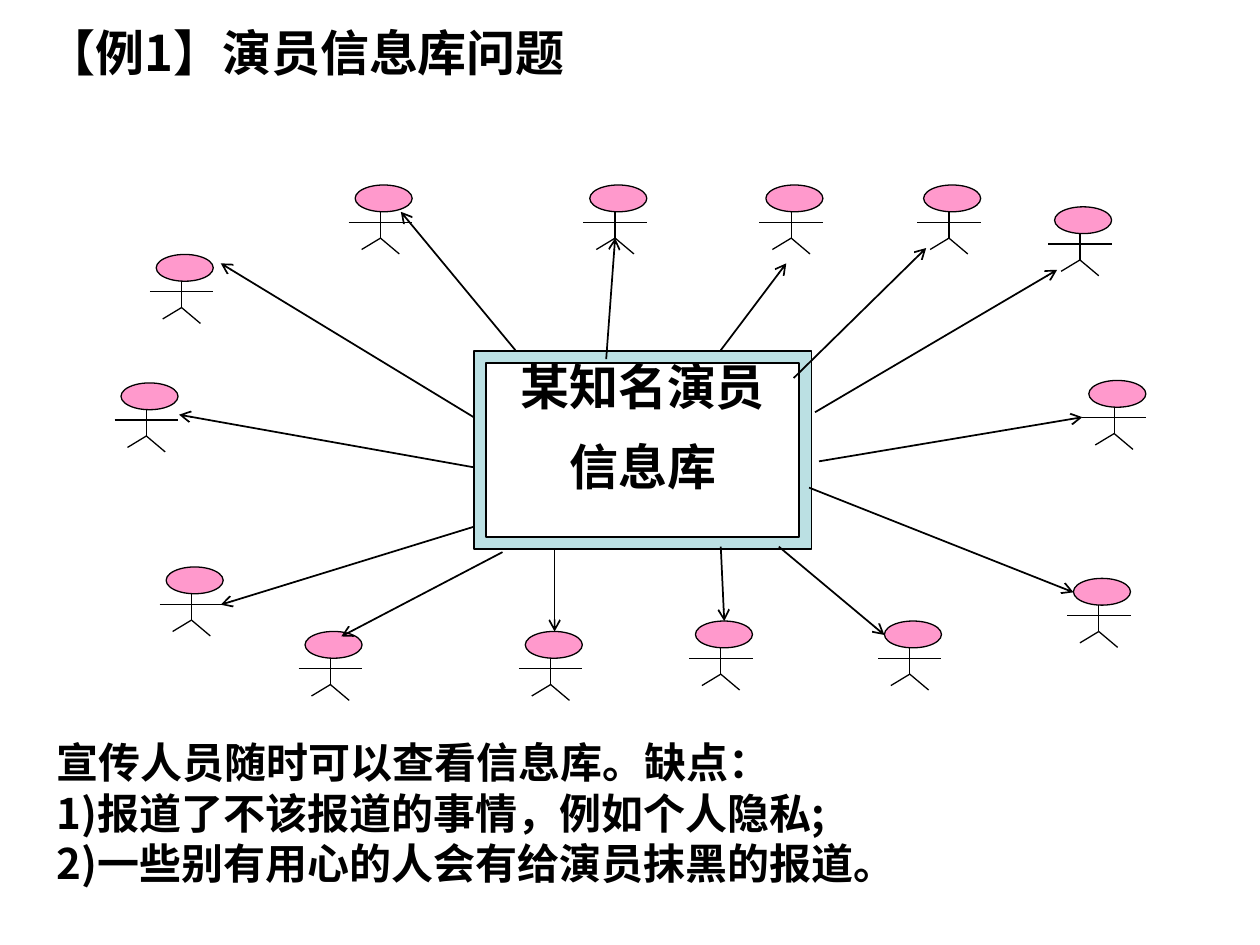
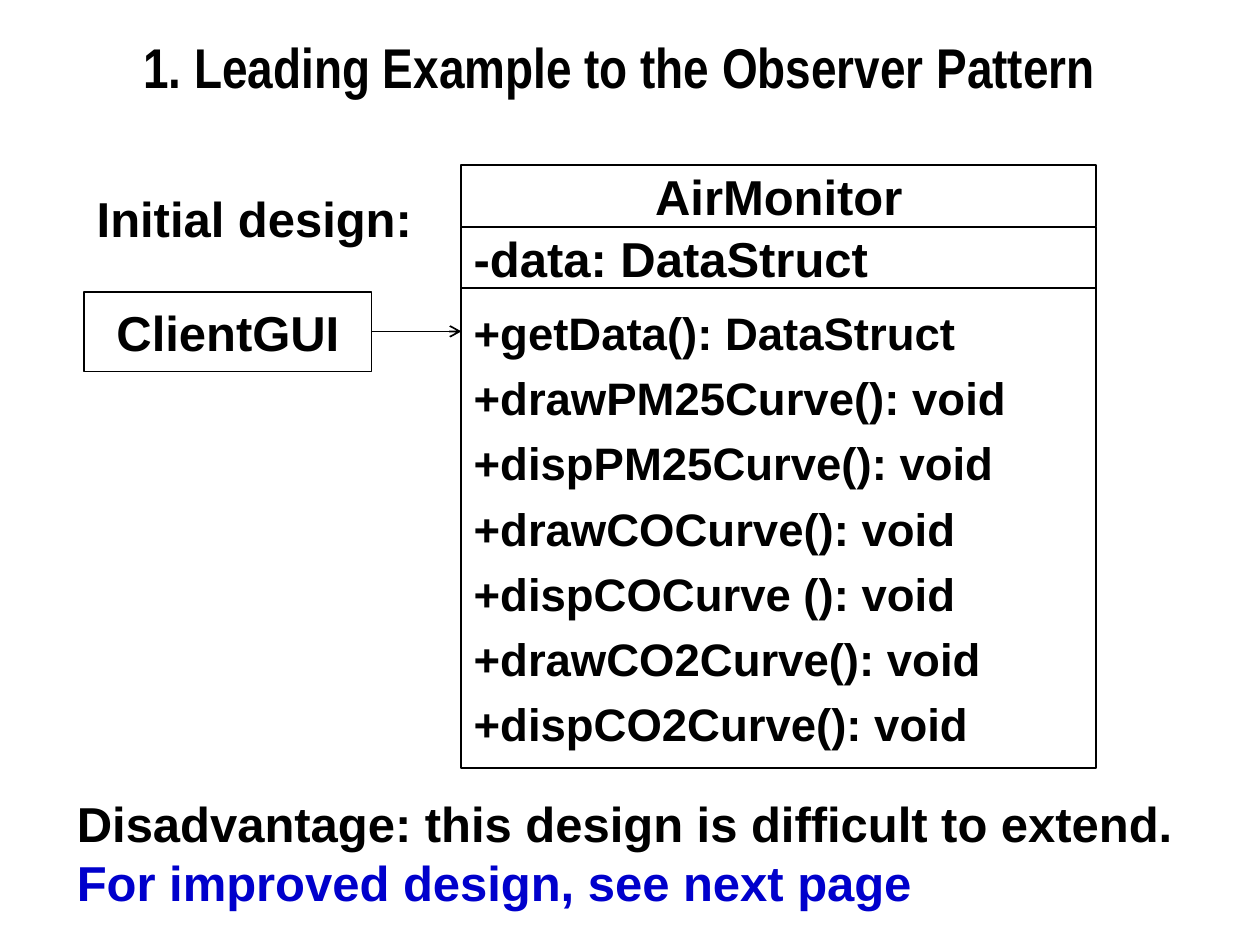
from dataclasses import dataclass

from lxml import etree
from pptx import Presentation
from pptx import util as u
from pptx.dml.color import RGBColor
from pptx.enum import shapes, text
from pptx.oxml.ns import qn

BLACK = RGBColor(0x00, 0x00, 0x00)
WHITE = RGBColor(0xFF, 0xFF, 0xFF)
PINK = RGBColor(0xFF, 0x99, 0xCC)
PALE_TEAL = RGBColor(0xBB, 0xE0, 0xE3)
BLUE = RGBColor(0x00, 0x00, 0xCC)

CHINESE = "Noto Sans CJK SC"
LATIN = "Arial"
NARROW = "Arial Narrow"
LINE_HEIGHT = 1.2
CENTER = text.PP_ALIGN.CENTER
LEFT = text.PP_ALIGN.LEFT
TOP = text.MSO_ANCHOR.TOP
MIDDLE = text.MSO_ANCHOR.MIDDLE

Point = tuple[float, float]


@dataclass(frozen=True)
class Area:
    """A rectangle in centimetres."""
    left: float
    top: float
    width: float
    height: float

    def lengths(self) -> list[u.Cm]:
        return [u.Cm(v) for v in (self.left, self.top, self.width, self.height)]

    def inset(self, margin: float) -> "Area":
        return Area(
            self.left + margin,
            self.top + margin,
            self.width - 2 * margin,
            self.height - 2 * margin,
        )

    def corners(self) -> list[tuple[u.Cm, u.Cm]]:
        """Clockwise from the top left."""
        left, right = u.Cm(self.left), u.Cm(self.left + self.width)
        top, bottom = u.Cm(self.top), u.Cm(self.top + self.height)
        return [(left, top), (right, top), (right, bottom), (left, bottom)]


@dataclass(frozen=True)
class TextStyle:
    font: str
    size: int
    align: text.PP_ALIGN = LEFT
    before: int = 0
    after: int = 0


@dataclass(frozen=True)
class Reporter:
    """A stick figure, placed by its head, and the arrow that leads to it."""
    left: float
    top: float
    arrow_start: Point
    arrow_tip: Point


@dataclass(frozen=True)
class Compartment:
    area: Area
    lines: list[str]
    style: TextStyle


REPORTERS = [
    Reporter(18.62, 3.73, (16, 7.62), (18.67, 5)),
    Reporter(21.26, 4.17, (16.43, 8.31), (21.31, 5.44)),
    Reporter(21.95, 7.67, (16.51, 9.3), (21.82, 8.41)),
    Reporter(21.64, 11.66, (16.31, 9.83), (21.64, 11.94)),
    Reporter(11.89, 3.73, (12.22, 7.24), (12.4, 4.8)),
    Reporter(7.16, 3.73, (10.39, 7.06), (8.08, 4.27)),
    Reporter(6.15, 12.73, (10.13, 11.13), (6.88, 12.83)),
    Reporter(10.59, 12.73, (11.18, 11.05), (11.18, 12.73)),
    Reporter(14.02, 12.52, (14.53, 11.02), (14.6, 12.52)),
    Reporter(17.83, 12.52, (15.7, 11.02), (17.83, 12.8)),
    Reporter(15.44, 3.73, (14.53, 7.06), (15.85, 5.31)),
    Reporter(3.15, 5.13, (9.55, 8.41), (4.45, 5.31)),
    Reporter(3.35, 11.43, (9.55, 10.62), (4.45, 12.19)),
    Reporter(2.44, 7.72, (9.55, 9.42), (3.61, 8.36)),
]

# Arms, body and legs, measured from the top left corner of the head.
HEAD_SIZE = (1.15, 0.54)
LIMBS = [
    ((-0.13, 0.75), (1.15, 0.75)),
    ((0.51, 0.54), (0.51, 1.07)),
    ((0.51, 1.07), (0.13, 1.3)),
    ((0.51, 1.07), (0.89, 1.39)),
]

CLASS_LEFT, CLASS_WIDTH = 9.3, 12.8
LABEL = TextStyle(LATIN, 28)
LABEL_CENTERED = TextStyle(LATIN, 28, CENTER)
COMPARTMENTS = [
    Compartment(Area(CLASS_LEFT, 3.33, CLASS_WIDTH, 1.24), ["AirMonitor"], LABEL_CENTERED),
    Compartment(
        Area(CLASS_LEFT, 5.8, CLASS_WIDTH, 9.68),
        [
            "+getData(): DataStruct",
            "+drawPM25Curve(): void",
            "+dispPM25Curve(): void",
            "+drawCOCurve(): void",
            "+dispCOCurve (): void",
            "+drawCO2Curve(): void",
            "+dispCO2Curve(): void",
        ],
        TextStyle(LATIN, 26, before=6),
    ),
    Compartment(Area(1.7, 5.89, 5.79, 1.6), ["ClientGUI"], LABEL_CENTERED),
    Compartment(Area(CLASS_LEFT, 4.57, CLASS_WIDTH, 1.24), ["-data: DataStruct"], LABEL),
]


def write(shape, lines: list[str], style: TextStyle, anchor=TOP) -> None:
    frame = shape.text_frame
    frame.word_wrap = True
    frame.vertical_anchor = anchor
    frame.text = "\n".join(lines)
    for para in frame.paragraphs:
        para.alignment = style.align
        para.line_spacing = u.Pt(LINE_HEIGHT * style.size)
        para.space_before = u.Pt(style.before)
        para.space_after = u.Pt(style.after)
        font = para.font
        font.name, font.size, font.bold = style.font, u.Pt(style.size), True
        font.color.rgb = BLACK
        if style.font == CHINESE:
            defaults = para._p.pPr.find(qn("a:defRPr"))
            etree.SubElement(defaults, qn("a:ea"), typeface=CHINESE)


def number(para) -> None:
    """Number a paragraph as 1), 2) with the text right after the number."""
    props = para._p.get_or_add_pPr()
    props.set("marL", "0")
    props.set("indent", "0")
    bullet = etree.Element(qn("a:buAutoNum"), type="arabicParenR")
    props.find(qn("a:defRPr")).addprevious(bullet)


def paint(shape, fill: RGBColor, line_width: float) -> None:
    shape.shadow.inherit = False
    shape.fill.solid()
    shape.fill.fore_color.rgb = fill
    shape.line.color.rgb = BLACK
    shape.line.width = u.Pt(line_width)


def add_text(page, area: Area, lines: list[str], style: TextStyle):
    box = page.shapes.add_textbox(*area.lengths())
    write(box, lines, style)
    return box


def add_line(parent, start: Point, end: Point, width: float, arrow: bool = False) -> None:
    line = parent.shapes.add_connector(
        shapes.MSO_CONNECTOR.STRAIGHT, *[u.Cm(v) for v in start + end]
    )
    line.line.color.rgb = BLACK
    line.line.width = u.Pt(width)
    if arrow:
        etree.SubElement(line.line._get_or_add_ln(), qn("a:tailEnd"), type="arrow")
    etree.SubElement(line._element.spPr, qn("a:effectLst"))


def add_reporter(page, reporter: Reporter) -> None:
    figure = page.shapes.add_group_shape()
    head = figure.shapes.add_shape(
        shapes.MSO_SHAPE.OVAL, *Area(reporter.left, reporter.top, *HEAD_SIZE).lengths()
    )
    paint(head, PINK, 0.75)
    for limb in LIMBS:
        start, end = [(reporter.left + x, reporter.top + y) for x, y in limb]
        add_line(figure, start, end, 0.75)


def add_database(page, area: Area, border: float) -> None:
    """Draw a rectangular frame with an opening and the database's name."""
    outer = area.corners()
    opening = area.inset(border).corners()[::-1]
    builder = page.shapes.build_freeform(*outer[0])
    builder.add_line_segments(outer[1:])
    builder.move_to(*opening[0])
    builder.add_line_segments(opening[1:])
    frame = builder.convert_to_shape()
    paint(frame, PALE_TEAL, 1)
    write(frame, ["某知名演员", "信息库"], TextStyle(CHINESE, 28, CENTER, 6, 6))


def build_actor_page(page) -> None:
    notes = add_text(
        page,
        Area(0.89, 14.73, 23.39, 3.3),
        [
            "宣传人员随时可以查看信息库。缺点：",
            "报道了不该报道的事情，例如个人隐私;",
            "一些别有用心的人会有给演员抹黑的报道。",
        ],
        TextStyle(CHINESE, 24),
    )
    for para in notes.text_frame.paragraphs[1:]:
        number(para)
    add_database(page, Area(9.55, 7.07, 6.81, 4), 0.25)
    for reporter in REPORTERS:
        add_reporter(page, reporter)
    for reporter in REPORTERS:
        add_line(page, reporter.arrow_start, reporter.arrow_tip, 1, arrow=True)
    add_text(page, Area(0.69, 0.33, 11.61, 1.45), ["【例1】演员信息库问题"], TextStyle(CHINESE, 28))


def build_design_page(page) -> None:
    for part in COMPARTMENTS:
        box = page.shapes.add_shape(shapes.MSO_SHAPE.RECTANGLE, *part.area.lengths())
        paint(box, WHITE, 1)
        write(box, part.lines, part.style, MIDDLE)
    add_line(page, (7.49, 6.68), (CLASS_LEFT, 6.68), 1, arrow=True)
    add_text(page, Area(1.7, 3.68, 8, 1.45), ["Initial design:"], LABEL)
    verdict = add_text(
        page,
        Area(1.3, 15.88, 23.01, 2.64),
        ["Disadvantage: this design is difficult to extend.", "For improved design, see next page"],
        LABEL,
    )
    verdict.text_frame.paragraphs[1].font.color.rgb = BLUE
    add_text(
        page,
        Area(1.09, 0.53, 22.81, 1.63),
        ["1. Leading Example to the Observer Pattern"],
        TextStyle(NARROW, 32, CENTER),
    )


def main() -> None:
    deck = Presentation()
    deck.slide_width, deck.slide_height = u.Cm(25.4), u.Cm(19.05)
    blank = deck.slide_layouts[6]
    for build in (build_actor_page, build_design_page):
        build(deck.slides.add_slide(blank))
    deck.save("out.pptx")


if __name__ == "__main__":
    main()
